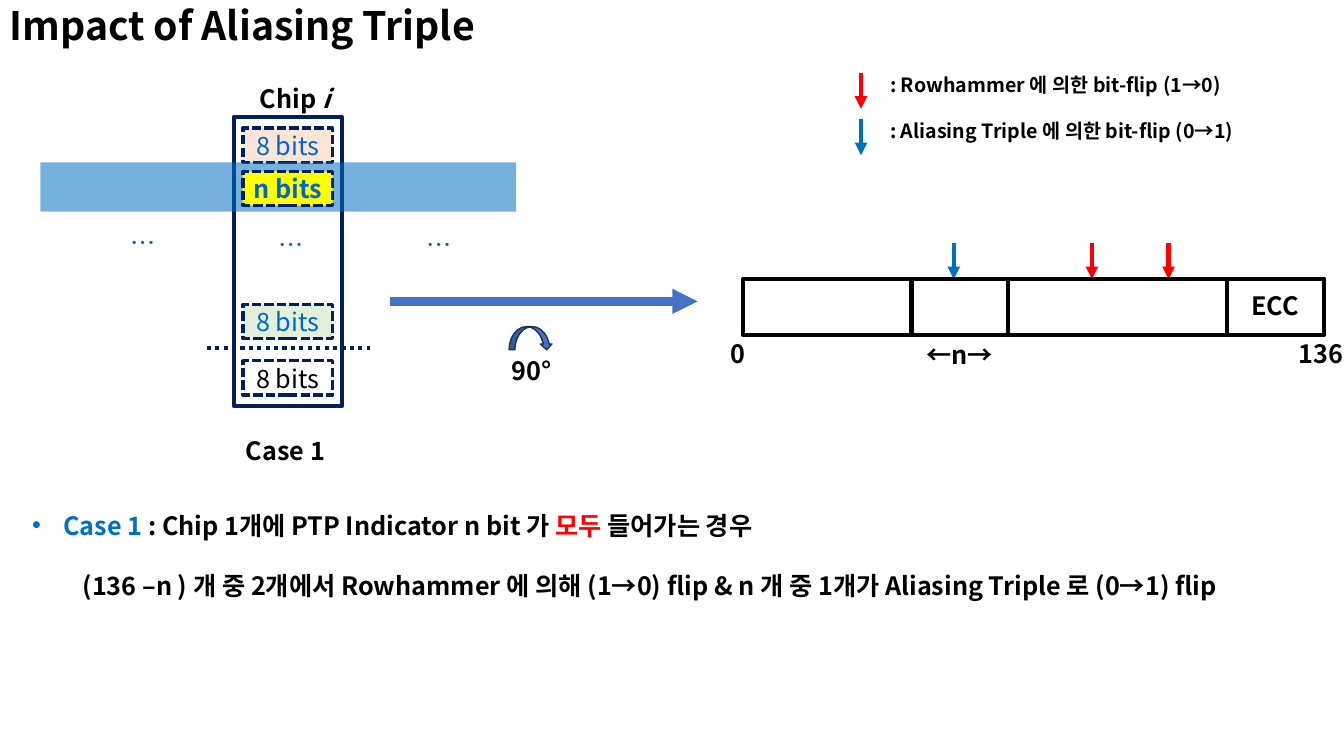
"""Build the slide on the impact of an aliasing triple."""
import pptx
import pptx.dml.color
import pptx.enum.dml
import pptx.enum.shapes
import pptx.enum.text
import pptx.oxml.ns
import pptx.util
from lxml import etree

RGBColor = pptx.dml.color.RGBColor
BLACK = RGBColor(0x00, 0x00, 0x00)
RED = RGBColor(0xFF, 0x00, 0x00)
BLUE = RGBColor(0x00, 0x70, 0xC0)
BIT_BLUE = RGBColor(0x00, 0x66, 0xCC)
NAVY = RGBColor(0x00, 0x20, 0x60)
ARROW_BLUE = RGBColor(0x44, 0x72, 0xC4)
ARROW_EDGE = RGBColor(0x1E, 0x32, 0x56)
PEACH = RGBColor(0xFB, 0xE5, 0xD6)
GREEN = RGBColor(0xE2, 0xF0, 0xD9)
YELLOW = RGBColor(0xFF, 0xFF, 0x00)

FONT = "Noto Sans CJK KR"
PX = 9144
SHAPE = pptx.enum.shapes.MSO_SHAPE
DASH = pptx.enum.dml.MSO_LINE
ALIGN = pptx.enum.text.PP_ALIGN
ANCHOR = pptx.enum.text.MSO_ANCHOR
AUTO_SIZE = pptx.enum.text.MSO_AUTO_SIZE

BOLD = {"size": 18, "bold": True, "color": BLACK}
SMALL = {**BOLD, "size": 14}
PLAIN = {"size": 18, "color": BIT_BLUE}

TITLE = [("Impact of Aliasing Triple", {**BOLD, "size": 28})]
CASE = [
    [("Case 1", {**BOLD, "color": BLUE}),
     (" : Chip 1개에 PTP Indicator n bit 가 ", BOLD),
     ("모두", {**BOLD, "color": RED}),
     (" 들어가는 경우", BOLD)],
    [("(136 –n ) 개 중 2개에서 Rowhammer 에 의해 (1→0) flip & "
      "n 개 중 1개가 Aliasing Triple 로 (0→1) flip", BOLD)],
]
LEGEND = [
    (72, RED, ": Rowhammer 에 의한 bit-flip (1→0)"),
    (118, BLUE, ": Aliasing Triple 에 의한 bit-flip (0→1)"),
]
FLIPS = [(1083, RED), (1159, RED), (946, BLUE)]
FLIP_LENGTH = 36
WORD_TOP, WORD_HEIGHT = 277, 55
WORD_FIELDS = [(737, 576), (904, 96), (1217, 96)]
WORD_LABELS = [
    ((715, 331, 43, 40), "0", None),
    ((1278, 331, 70, 40), "136", None),
    ((895, 332, 113, 40), "←n→", ALIGN.CENTER),
    ((1208, 283, 113, 40), "ECC", ALIGN.CENTER),
]
CHIP = (232, 116, 107, 287)
CHIP_BITS = [(127, PEACH, BIT_BLUE), (302, GREEN, BIT_BLUE), (358, None, BLACK)]
INDICATOR_TOP = 170
INDICATOR_BAND = (40, 161, 472, 49)
DOTS = [(266, 223), (413, 223), (120, 221)]
CHIP_LABELS = [
    ((248, 78, 90, 40), [("Chip ", BOLD), ("i", {**BOLD, "italic": True})]),
    ((234, 427, 99, 40), [("Case 1", BOLD)]),
]

presentation = pptx.Presentation()
presentation.slide_width = 1333 * PX
presentation.slide_height = 750 * PX
slide = presentation.slides.add_slide(presentation.slide_layouts[6])


def add_child(parent, tag, **attributes):
    return etree.SubElement(parent, pptx.oxml.ns.qn(tag), attributes)


def add_runs(paragraph, runs):
    for text, formats in runs:
        run = paragraph.add_run()
        run.text = text
        values = {**formats, "name": FONT, "size": pptx.util.Pt(formats["size"])}
        run.font.color.rgb = values.pop("color")
        for name, value in values.items():
            setattr(run.font, name, value)
        add_child(run.font._element, "a:ea", typeface=FONT)


def add_text(box, runs, align=None, wrap=True, grow=True):
    shape = slide.shapes.add_textbox(*(length * PX for length in box))
    frame = shape.text_frame
    frame.word_wrap = wrap
    frame.auto_size = AUTO_SIZE.SHAPE_TO_FIT_TEXT if grow else AUTO_SIZE.NONE
    frame.paragraphs[0].alignment = align
    add_runs(frame.paragraphs[0], runs)
    return frame


def style_line(line, color, width, dash=None):
    line.color.rgb = color
    line.width = pptx.util.Pt(width)
    if dash:
        line.dash_style = dash


def add_box(box, fill=None, line=None, kind=SHAPE.RECTANGLE):
    shape = slide.shapes.add_shape(kind, *(length * PX for length in box))
    shape.shadow.inherit = False
    if fill is None:
        shape.fill.background()
    else:
        shape.fill.solid()
        shape.fill.fore_color.rgb = fill
    if line:
        style_line(shape.line, *line)
    else:
        shape.line.fill.background()
    return shape


def add_bits(top, fill, runs):
    shape = add_box((241, top, 89, 34), fill, (NAVY, 2.25, DASH.SQUARE_DOT))
    frame = shape.text_frame
    settings = {"margin_left": 0, "margin_right": 0, "margin_top": 0,
                "margin_bottom": 0, "vertical_anchor": ANCHOR.MIDDLE}
    for name, value in settings.items():
        setattr(frame, name, value)
    frame.paragraphs[0].alignment = ALIGN.CENTER
    add_runs(frame.paragraphs[0], runs)


def add_line(ends, color, width, dash=None, arrow=True):
    connector = slide.shapes.add_connector(
        pptx.enum.shapes.MSO_CONNECTOR.STRAIGHT, *(length * PX for length in ends))
    style_line(connector.line, color, width, dash)
    if arrow:
        add_child(connector.line._get_or_add_ln(), "a:tailEnd", type="triangle")
    add_child(connector._element.spPr, "a:effectLst")


def add_down_arrow(x, top, color):
    add_line((x, top, x, top + FLIP_LENGTH), color, 3)


def add_case():
    frame = add_text((22, 471, 1311, 182), [], grow=False)
    bulleted, detail = frame.paragraphs[0], frame.add_paragraph()
    detail.level = 1
    for paragraph, margin, indent in [(bulleted, 31, -31), (detail, 50, 0)]:
        properties = paragraph._p.get_or_add_pPr()
        properties.set("marL", str(margin * PX))
        properties.set("indent", str(indent * PX))
    properties = bulleted._p.get_or_add_pPr()
    add_child(properties, "a:buFont", typeface="Arial")
    add_child(properties, "a:buChar", char="•")
    for paragraph, runs in zip(frame.paragraphs, CASE):
        paragraph.line_spacing = 2.0
        add_runs(paragraph, runs)


def main():
    title = add_text((0, 0, 1333, 55), TITLE, grow=False)
    title.vertical_anchor = ANCHOR.MIDDLE
    title.paragraphs[0].line_spacing = 0.9
    add_case()

    add_line((387, 299, 692, 299), ARROW_BLUE, 6)
    add_box((505, 324, 43, 23), ARROW_BLUE, (ARROW_EDGE, 1), SHAPE.CURVED_DOWN_ARROW)
    add_text((498, 348, 66, 40), [("90°", BOLD)])

    for top, color, text in LEGEND:
        add_down_arrow(854, top, color)
        add_text((873, top - 5, 389, 34), [(text, SMALL)])

    for x, color in FLIPS:
        add_down_arrow(x, WORD_TOP - FLIP_LENGTH, color)
    for left, width in WORD_FIELDS:
        add_box((left, WORD_TOP, width, WORD_HEIGHT), line=(BLACK, 3))
    for box, text, align in WORD_LABELS:
        add_text(box, [(text, BOLD)], align)

    add_box(CHIP, line=(NAVY, 3))
    for top, fill, color in CHIP_BITS:
        add_bits(top, fill, [("8 bits", {**PLAIN, "color": color})])
    band = add_box(INDICATOR_BAND, BLUE)
    add_child(band.fill._xPr.find(".//" + pptx.oxml.ns.qn("a:srgbClr")),
              "a:alpha", val="54000")
    add_bits(INDICATOR_TOP, YELLOW, [("n bits", {**BOLD, "color": BIT_BLUE})])
    for left, top in DOTS:
        add_text((left, top, 38, 40), [("…", PLAIN)], wrap=False)
    for box, runs in CHIP_LABELS:
        add_text(box, runs, wrap=False)
    add_line((205, 345, 367, 345), NAVY, 3, DASH.ROUND_DOT, arrow=False)

    presentation.save("out.pptx")


if __name__ == "__main__":
    main()
